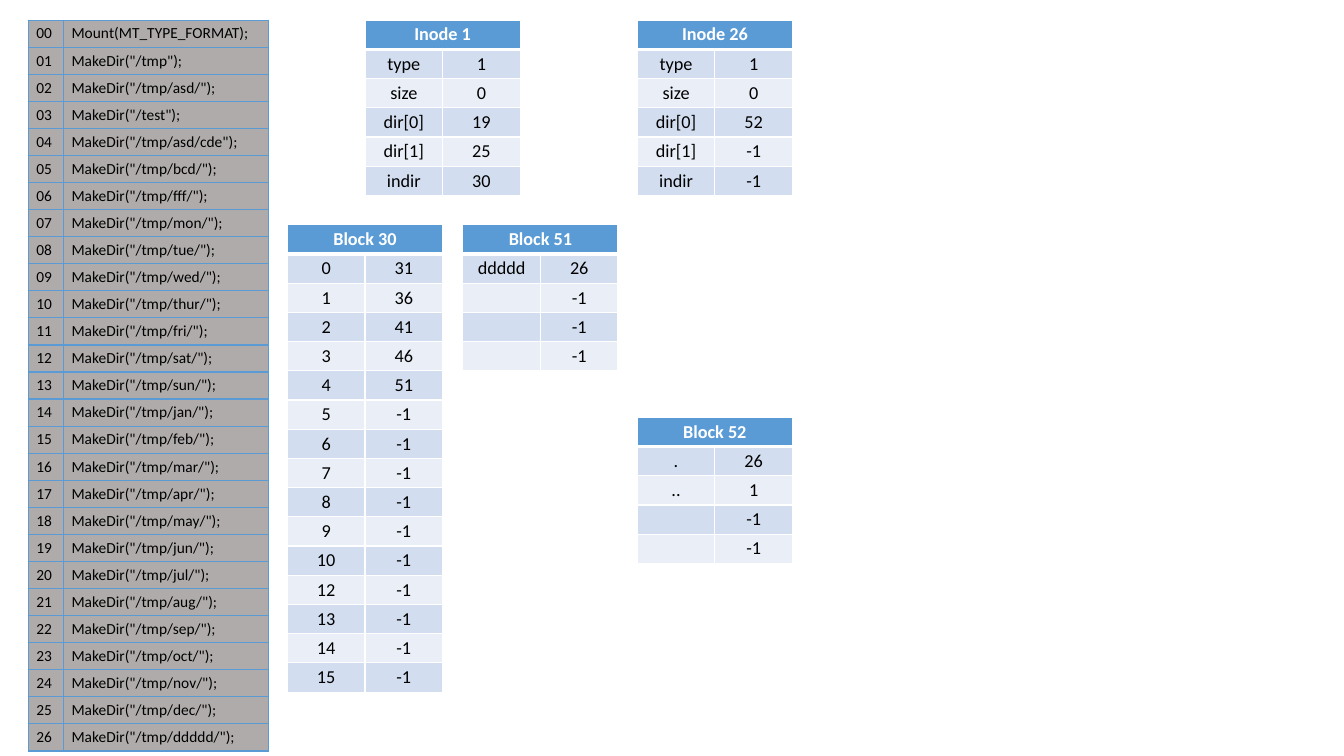
from dataclasses import dataclass

from lxml.etree import SubElement as Sub
from pptx import Presentation
from pptx.dml.color import RGBColor as RGB
from pptx.enum.text import MSO_ANCHOR as Anchor, PP_ALIGN as Align
from pptx.oxml.ns import qn
from pptx.util import Inches, Pt


@dataclass(frozen=True)
class Theme:
    font: str = "Calibri"
    small: float = 11
    body: float = 13
    thin: float = 1
    thick: float = 3
    black: str = "000000"
    white: str = "FFFFFF"
    gray: str = "AFABAB"
    blue: str = "5B9BD5"
    bands: tuple[str, str] = ("D2DEEF", "EAEFF7")


@dataclass(frozen=True)
class Look:
    fill: str
    line: str
    size: float
    color: str = "000000"
    bold: bool = False
    align: Align = Align.LEFT
    anchor: Anchor = Anchor.TOP
    pad_x: float = 0.08
    pad_y: float = 0.04
    top: float = 1
    base: float = 1


@dataclass(frozen=True)
class Grid:
    title: str
    left: float
    top: float
    rows: list[tuple[str, str]]


THEME = Theme()

# Commands in the order they run
NAMES = ("bcd fff mon tue wed thur fri sat sun jan feb mar apr may jun "
         "jul aug sep oct nov dec ddddd").split()
PATHS = ["/tmp", "/tmp/asd/", "/test", "/tmp/asd/cde"]
PATHS += [f"/tmp/{name}/" for name in NAMES]
CALLS = ["Mount(MT_TYPE_FORMAT);"] + [f'MakeDir("{p}");' for p in PATHS]

# Inodes and blocks
FIELDS = ("type", "size", "dir[0]", "dir[1]", "indir")
SLOTS = [str(n) for n in range(16) if n != 11]
LINKS = ["31", "36", "41", "46", "51"] + ["-1"] * 10
FREE = [("", "-1")] * 2
GRIDS = [
    Grid("Inode 1", 3.62, 0.2, list(zip(FIELDS, ("1", "0", "19", "25", "30")))),
    Grid("Inode 26", 6.32, 0.2, list(zip(FIELDS, ("1", "0", "52", "-1", "-1")))),
    Grid("Block 30", 2.85, 2.23, list(zip(SLOTS, LINKS))),
    Grid("Block 52", 6.32, 4.14, [(".", "26"), ("..", "1")] + FREE),
    Grid("Block 51", 4.59, 2.23, [("ddddd", "26"), ("", "-1")] + FREE),
]


def add_grid(slide, left: float, top: float, cols: tuple[float, float],
             count: int, high: float):
    """Add a plain table with fixed column widths and equal rows."""
    frame = slide.shapes.add_table(
        count, len(cols), Inches(left), Inches(top),
        Inches(sum(cols)), Inches(high * count))
    table = frame.table
    table.first_row = table.horz_banding = False
    for col, wide in zip(table.columns, cols):
        col.width = Inches(wide)
    for row in table.rows:
        row.height = Inches(high)
    return table


def add_edge(cell, side: str, color: str, width: float) -> None:
    props = cell._tc.get_or_add_tcPr()
    line = Sub(props, qn(f"a:ln{side}"), w=str(Pt(width)))
    solid = Sub(line, qn("a:solidFill"))
    Sub(solid, qn("a:srgbClr"), val=color)


def fill_cell(cell, text: str, look: Look) -> None:
    """Draw the edges, the fill and the text of one cell."""
    edges = {"L": THEME.thin, "R": THEME.thin, "T": look.top, "B": look.base}
    for side, width in edges.items():
        add_edge(cell, side, look.line, width)
    cell.fill.solid()
    cell.fill.fore_color.rgb = RGB.from_string(look.fill)
    cell.margin_left = cell.margin_right = Inches(look.pad_x)
    cell.margin_top = cell.margin_bottom = Inches(look.pad_y)
    cell.vertical_anchor = look.anchor
    para = cell.text_frame.paragraphs[0]
    para.alignment = look.align
    if not text:
        # An empty cell keeps the row height through its end mark
        Sub(para._p, qn("a:endParaRPr"), sz=str(int(look.size * 100)))
        return
    run = para.add_run()
    run.text = text
    run.font.name = THEME.font
    run.font.size = Pt(look.size)
    run.font.bold = look.bold
    run.font.color.rgb = RGB.from_string(look.color)


def draw_calls(slide) -> None:
    table = add_grid(slide, 0.28, 0.2, (0.35, 2.03), len(CALLS), 0.26)
    look = Look(THEME.gray, THEME.blue, THEME.small, THEME.black)
    for i, call in enumerate(CALLS):
        fill_cell(table.cell(i, 0), f"{i:02}", look)
        fill_cell(table.cell(i, 1), call, look)


def mid_look(fill: str, color: str, bold: bool = False,
             top: float = THEME.thin, base: float = THEME.thin) -> Look:
    return Look(fill, THEME.white, THEME.body, color, bold, Align.CENTER,
                Anchor.MIDDLE, 0.07, 0.03, top, base)


def draw_grid(slide, grid: Grid) -> None:
    table = add_grid(slide, grid.left, grid.top, (0.77, 0.77),
                     len(grid.rows) + 1, 0.29)
    # Header over both columns
    head = mid_look(THEME.blue, THEME.white, True, base=THEME.thick)
    table.cell(0, 0).merge(table.cell(0, 1))
    for j, text in enumerate((grid.title, "")):
        fill_cell(table.cell(0, j), text, head)
    # Banded body
    for i, row in enumerate(grid.rows):
        top = THEME.thin if i else THEME.thick
        look = mid_look(THEME.bands[i % 2], THEME.black, top=top)
        for j, text in enumerate(row):
            fill_cell(table.cell(i + 1, j), text, look)


def main() -> None:
    deck = Presentation()
    deck.slide_width, deck.slide_height = Inches(13.33), Inches(7.5)
    slide = deck.slides.add_slide(deck.slide_layouts[6])
    draw_calls(slide)
    for grid in GRIDS:
        draw_grid(slide, grid)
    deck.save("out.pptx")


if __name__ == "__main__":
    main()
